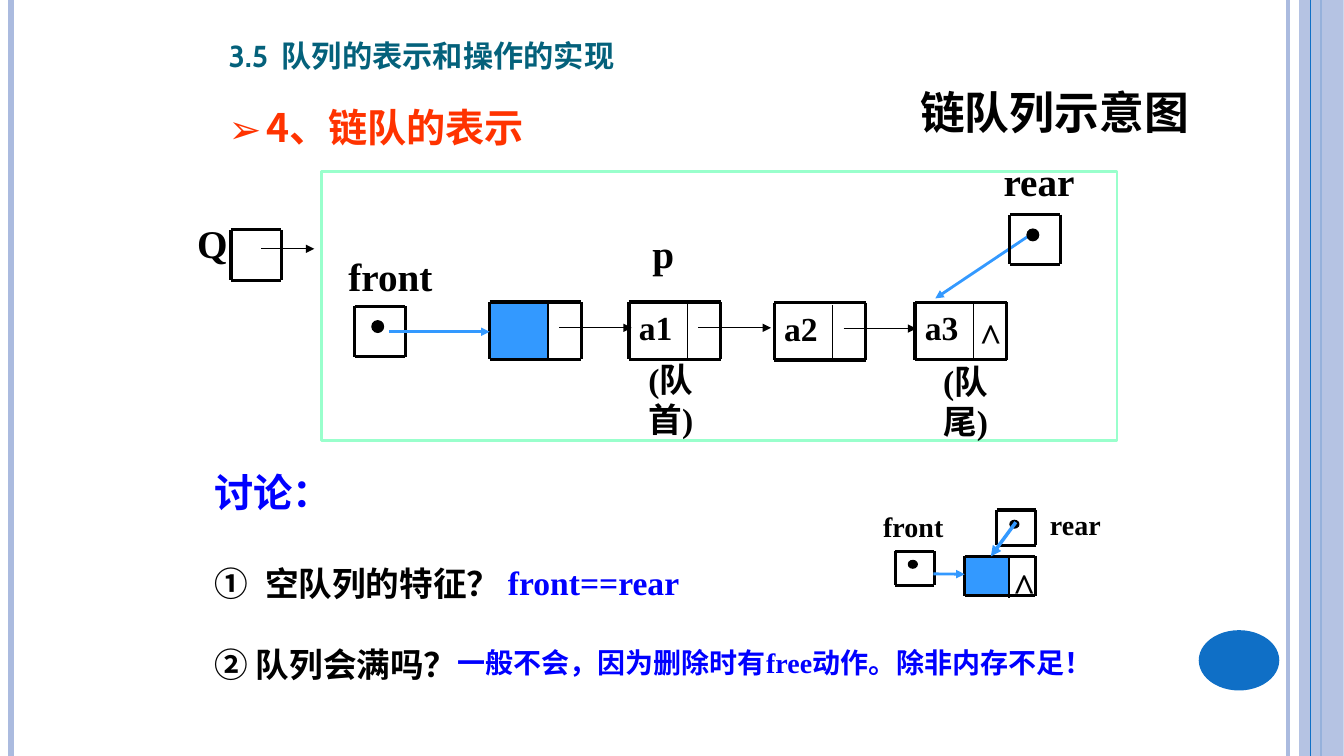
from lxml import etree
from pptx import Presentation
from pptx.dml.color import RGBColor
from pptx.enum import shapes as sh, text as tx
from pptx.oxml.ns import qn
from pptx.util import Cm, Pt

BLACK = RGBColor(0x00, 0x00, 0x00)
BLUE = RGBColor(0x00, 0x00, 0xFF)
SKY = RGBColor(0x33, 0x99, 0xFF)
MINT = RGBColor(0x99, 0xFF, 0xCC)
RED = RGBColor(0xFF, 0x33, 0x00)
TEAL = RGBColor(0x04, 0x61, 0x7B)
EDGE = RGBColor(0xAB, 0xBB, 0xDF)
DEEP = RGBColor(0x0F, 0x6F, 0xC6)
SERIF = "Times New Roman"
TOP, MID, LOW = tx.MSO_ANCHOR.TOP, tx.MSO_ANCHOR.MIDDLE, tx.MSO_ANCHOR.BOTTOM
RECT, OVAL = sh.MSO_SHAPE.RECTANGLE, sh.MSO_SHAPE.OVAL

deck = Presentation()
deck.slide_width, deck.slide_height = Cm(33.87), Cm(19.05)
slide = deck.slides.add_slide(deck.slide_layouts[6])


def draw(x1, y1, x2, y2, color, width, arrow=False):
    line = slide.shapes.add_connector(
        sh.MSO_CONNECTOR.STRAIGHT, Cm(x1), Cm(y1), Cm(x2), Cm(y2))
    line.line.color.rgb = color
    line.line.width = Pt(width)
    if arrow:
        etree.SubElement(line.line._get_or_add_ln(), qn("a:tailEnd"), type="triangle")
    etree.SubElement(line._element.spPr, qn("a:effectLst"))


def write(words, x, y, w, h, size, color=BLACK, anchor=TOP, center=False,
          wrap=True, font=SERIF, hang=0, bullet=None):
    box = slide.shapes.add_textbox(Cm(x), Cm(y), Cm(w), Cm(h))
    frame = box.text_frame
    frame.word_wrap = wrap
    frame.vertical_anchor = anchor
    para = frame.paragraphs[0]
    para.text = words
    if center:
        para.alignment = tx.PP_ALIGN.CENTER
    props = para._p.get_or_add_pPr()
    if hang:
        props.set("marL", str(Cm(hang)))
        props.set("indent", str(-Cm(hang)))
    if bullet:
        tint = etree.SubElement(props, qn("a:buClr"))
        etree.SubElement(tint, qn("a:srgbClr"), val=str(color))
        etree.SubElement(props, qn("a:buFont"), typeface=font)
        etree.SubElement(props, qn("a:buChar"), char=bullet)
    para.font.name = font
    para.font.size = Pt(size)
    para.font.bold = True
    para.font.color.rgb = color
    return frame


for x, color, width in [(32.46, EDGE, 3), (0.28, EDGE, 4.5), (33.3, DEEP, 1.5)]:
    draw(x, 0, x, 19.05, color, width)
draw(26.11, 5.82, 23.57, 7.52, SKY, 2, True)

for kind, x, y, w, h, fill, edge, width, alpha in [
    (RECT, 32.74, 0, 1.12, 19.05, EDGE, None, 0, 87),
    (OVAL, 30.21, 15.88, 2.03, 1.52, DEEP, None, 0, 100),
    (RECT, 8.1, 4.33, 20.05, 6.78, None, MINT, 2, 100),
    (RECT, 12.34, 7.61, 1.47, 1.45, SKY, None, 0, 100),
    (RECT, 24.31, 14.02, 1.12, 0.99, SKY, None, 0, 100),
    (OVAL, 9.37, 8.08, 0.3, 0.3, BLACK, BLACK, 0.75, 100),
    (OVAL, 25.88, 5.77, 0.3, 0.3, BLACK, BLACK, 0.75, 100),
    (OVAL, 22.89, 14.12, 0.23, 0.2, BLACK, BLACK, 0.75, 100),
    (OVAL, 25.45, 13.11, 0.23, 0.2, BLACK, BLACK, 0.75, 100),
]:
    shape = slide.shapes.add_shape(kind, Cm(x), Cm(y), Cm(w), Cm(h))
    shape.shadow.inherit = False
    if fill is None:
        shape.fill.background()
    else:
        shape.fill.solid()
        shape.fill.fore_color.rgb = fill
    if alpha < 100:
        tone = shape._element.spPr.find(".//" + qn("a:srgbClr"))
        etree.SubElement(tone, qn("a:alpha"), val=str(alpha * 1000))
    if edge is None:
        shape.line.fill.background()
    else:
        shape.line.color.rgb = edge
        shape.line.width = Pt(width)

draw(33.02, 0, 33.02, 19.05, DEEP, 0.75)

nodes = [(12.34, 7.61, ""), (15.85, 7.61, "a1"),
         (19.51, 7.63, "a2"), (23.06, 7.62, "a3")]
boxes = [
    (5.82, 5.79, 1.27, 1.27),
    (8.94, 7.72, 1.27, 1.27),
    (25.45, 5.41, 1.27, 1.25),
    (22.56, 13.89, 0.98, 0.86),
    (25.12, 12.85, 0.98, 0.89),
    (24.31, 14.02, 1.78, 0.99),
] + [(x, y, 2.31, 1.44) for x, y, name in nodes]
for x, y, w, h in boxes:
    for side in (0, h):
        draw(x, y + side, x + w, y + side, BLACK, 2.25)
    for side in (0, w):
        draw(x + side, y, x + side, y + h, BLACK, 2.25)

for x, y, name in nodes:
    draw(x + 1.47, y + 0.05, x + 1.47, y + 1.47, BLACK, 1)
    if name:
        write(name, x, y, 1.47, 1.45, 24)
    if name != "a3":
        draw(x + 1.75, y + 0.65, x + 3.58, y + 0.65, BLACK, 0.75, True)

draw(25.43, 14.07, 25.43, 15.06, BLACK, 1)
for x1, y1, x2, y2, color, width in [
    (6.58, 6.27, 7.92, 6.27, BLACK, 0.75),
    (9.8, 8.36, 12.34, 8.36, SKY, 2),
    (23.52, 14.46, 24.31, 14.47, SKY, 2),
    (25.6, 13.16, 24.97, 14.02, SKY, 2.5),
]:
    draw(x1, y1, x2, y2, color, width, True)

for words, x, y, w, h, size in [
    ("Q", 4.72, 5.4, 0.99, 1.45, 28),
    ("front", 8.33, 6.22, 3.02, 1.45, 28),
    ("p", 16.18, 5.64, 1.07, 1.45, 28),
    ("rear", 24.99, 3.84, 2.39, 1.45, 28),
    ("^", 24.33, 7.75, 1.27, 1.45, 28),
    ("(队首)", 15.76, 9.42, 2.29, 1.27, 24),
    ("(队尾)", 23.19, 9.47, 2.29, 1.27, 24),
    ("front", 21.87, 12.7, 2.29, 1.12, 20),
    ("rear", 26.2, 12.65, 1.8, 1.12, 20),
    ("^", 25.27, 14.04, 1.09, 1.45, 28),
]:
    write(words, x, y, w, h, size, anchor=MID, center=True)

title = write("3.5  队列的表示和操作的实现", 5.51, 0.46, 20.75, 1.55, 27,
              TEAL, LOW, font="Cabin")
title.paragraphs[0].runs[0]._r.get_or_add_rPr().set("cap", "small")
head = write("4、链队的表示", 5.51, 2.24, 24.54, 3.81, 28, RED,
             font="Noto Sans CJK SC", hang=0.95, bullet="➢")
head.paragraphs[0].line_spacing = 1.2
write("链队列示意图", 22.94, 2, 8.05, 1.63, 32, anchor=MID)

talk = write("讨论：", 5.16, 11.68, 12.27, 3.68, 28, BLUE)
ask = talk.add_paragraph()
ask.text = "空队列的特征？"
ask.space_before = Pt(33.5)
props = ask._p.get_or_add_pPr()
props.set("marL", str(Cm(1.27)))
props.set("indent", str(-Cm(1.27)))
etree.SubElement(props, qn("a:buAutoNum"), type="circleNumDbPlain")
ask.font.name = SERIF
ask.font.size = Pt(24)
ask.font.bold = True
ask.font.color.rgb = BLACK

write("front==rear", 12.55, 14.03, 4.83, 1.27, 24, BLUE, wrap=False)
write("② 队列会满吗？", 5.16, 16.1, 6.68, 1.27, 24, wrap=False, hang=1.27)
write("一般不会，因为删除时有free动作。除非内存不足！", 11.28, 16.15, 16.56, 1.12,
      20, BLUE, wrap=False)

deck.save("out.pptx")
